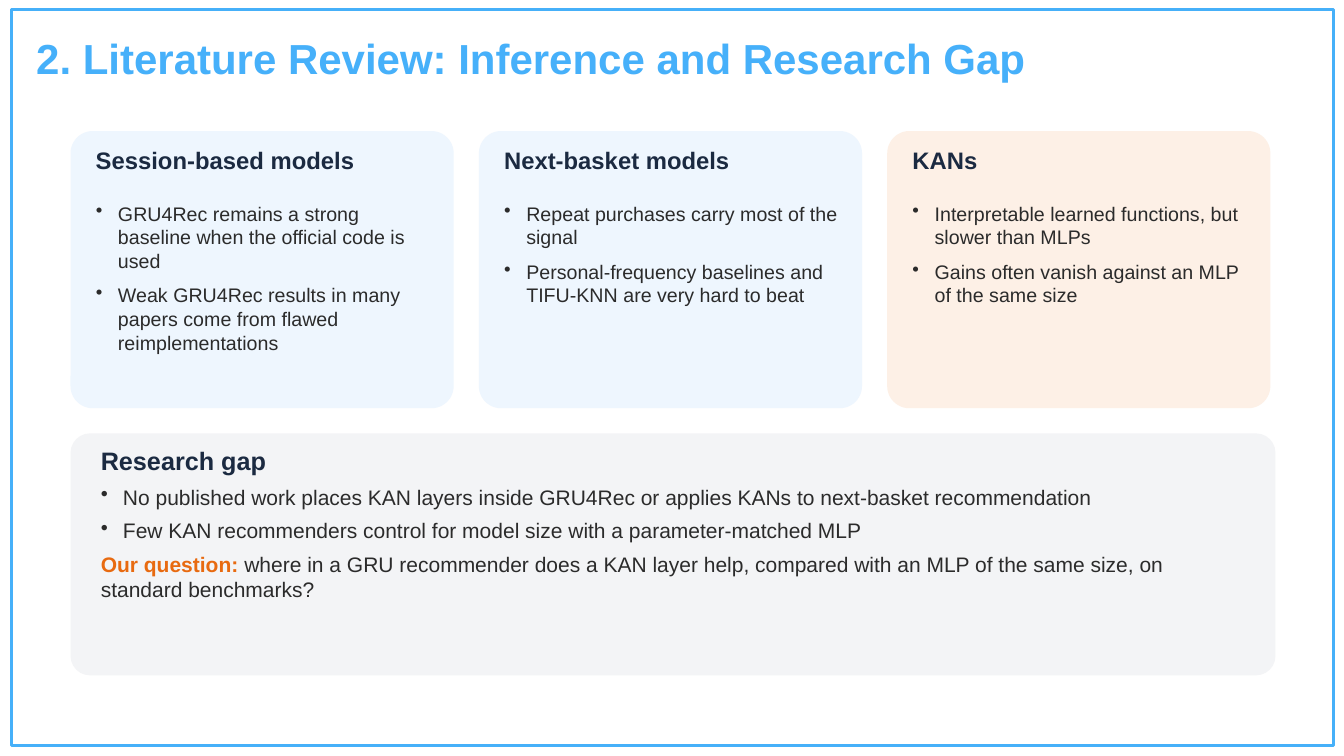
import pptx
import pptx.util
import pptx.dml.color
import pptx.enum.shapes
import pptx.enum.text
import pptx.oxml.ns
import lxml.etree

RGBColor = pptx.dml.color.RGBColor
SKY = RGBColor(0x46, 0xB0, 0xFA)
FRAME_BLUE = RGBColor(0x46, 0xB0, 0xF9)
NAVY = RGBColor(0x1B, 0x2A, 0x41)
INK = RGBColor(0x2B, 0x2B, 0x2B)
ORANGE = RGBColor(0xE8, 0x6A, 0x10)
PALE_BLUE = RGBColor(0xEE, 0xF6, 0xFE)
PALE_ORANGE = RGBColor(0xFD, 0xF0, 0xE6)
PALE_GREY = RGBColor(0xF3, 0xF4, 0xF6)

CARDS = [
    ("Session-based models", PALE_BLUE, [
        "GRU4Rec remains a strong baseline when the official code is used",
        "Weak GRU4Rec results in many papers come from flawed reimplementations",
    ]),
    ("Next-basket models", PALE_BLUE, [
        "Repeat purchases carry most of the signal",
        "Personal-frequency baselines and TIFU-KNN are very hard to beat",
    ]),
    ("KANs", PALE_ORANGE, [
        "Interpretable learned functions, but slower than MLPs",
        "Gains often vanish against an MLP of the same size",
    ]),
]
GAPS = [
    "No published work places KAN layers inside GRU4Rec or applies KANs to next-basket recommendation",
    "Few KAN recommenders control for model size with a parameter-matched MLP",
]
QUESTION = [
    ("Our question: ", ORANGE, True),
    ("where in a GRU recommender does a KAN layer help, compared with an MLP "
     "of the same size, on standard benchmarks?", INK, False),
]


def px(length):
    """Turn px, at 100 to the inch, into EMU."""
    return pptx.util.Emu(length * 9144)


class Painter:
    """Hold the style and the current page, and draw each kind of element."""

    font_name = "Arial"
    indent = 22

    def __init__(self, page):
        self.page = page

    def frame(self, left, top, width, height):
        """Draw the outlined border of the page."""
        border = self.page.shapes.add_shape(
            pptx.enum.shapes.MSO_SHAPE.RECTANGLE, px(left), px(top), px(width), px(height))
        border.shadow.inherit = False
        border.fill.background()
        border.line.color.rgb = FRAME_BLUE
        border.line.width = pptx.util.Pt(2.25)

    def panel(self, left, top, width, height, colour):
        """Draw a filled panel with rounded corners."""
        panel = self.page.shapes.add_shape(
            pptx.enum.shapes.MSO_SHAPE.ROUNDED_RECTANGLE,
            px(left), px(top), px(width), px(height))
        panel.adjustments[0] = 0.08
        panel.shadow.inherit = False
        panel.fill.solid()
        panel.fill.fore_color.rgb = colour
        panel.line.fill.background()

    def box(self, left, top, width, height, anchor=pptx.enum.text.MSO_ANCHOR.TOP):
        """Add a wrapping text box without margins and return its text frame."""
        text = self.page.shapes.add_textbox(px(left), px(top), px(width), px(height)).text_frame
        text.word_wrap = True
        text.auto_size = pptx.enum.text.MSO_AUTO_SIZE.SHAPE_TO_FIT_TEXT
        text.vertical_anchor = anchor
        text.margin_left = text.margin_top = text.margin_right = text.margin_bottom = 0
        return text

    def para(self, text, spans, size, after=6, bullet=False):
        """Write a paragraph of (words, colour, bold) spans."""
        para = text.paragraphs[0]
        if para.runs:
            para = text.add_paragraph()
        para.space_after = pptx.util.Pt(after)
        if bullet:
            properties = para._p.get_or_add_pPr()
            properties.set("marL", str(px(self.indent)))
            properties.set("indent", str(-px(self.indent)))
            mark = lxml.etree.SubElement(properties, pptx.oxml.ns.qn("a:buChar"))
            mark.set("char", "•")
        para.font.name = self.font_name
        para.font.size = pptx.util.Pt(size)
        for words, colour, bold in spans:
            span = para.add_run()
            span.text = words
            font = para.font if len(spans) == 1 else span.font
            font.color.rgb = colour
            font.bold = bold

    def bullets(self, text, items, size, after):
        """Write a list of bulleted paragraphs."""
        for item in items:
            self.para(text, [(item, INK, False)], size, after, bullet=True)

    def card(self, left, heading, colour, items):
        """Draw one panel with its heading and its list."""
        self.panel(left, 130, 380, 275, colour)
        self.para(self.box(left + 25, 145, 330, 45), [(heading, NAVY, True)], 17)
        self.bullets(self.box(left + 25, 200, 335, 200), items, 14, 8)


def main():
    """Build the slide and save it."""
    deck = pptx.Presentation()
    deck.slide_width, deck.slide_height = px(1333), px(750)
    painter = Painter(deck.slides.add_slide(deck.slide_layouts[6]))

    painter.frame(11, 9, 1312, 731)
    title = painter.box(36, 26, 1040, 62, pptx.enum.text.MSO_ANCHOR.MIDDLE)
    painter.para(title, [("2. Literature Review: Inference and Research Gap", SKY, True)], 30)

    for column, (heading, colour, items) in enumerate(CARDS):
        painter.card(70 + 405 * column, heading, colour, items)

    painter.panel(70, 430, 1195, 240, PALE_GREY)
    gap = painter.box(100, 442, 1140, 220)
    painter.para(gap, [("Research gap", NAVY, True)], 18)
    painter.bullets(gap, GAPS, 15, 6)
    painter.para(gap, QUESTION, 15)

    deck.save("out.pptx")


if __name__ == "__main__":
    main()
